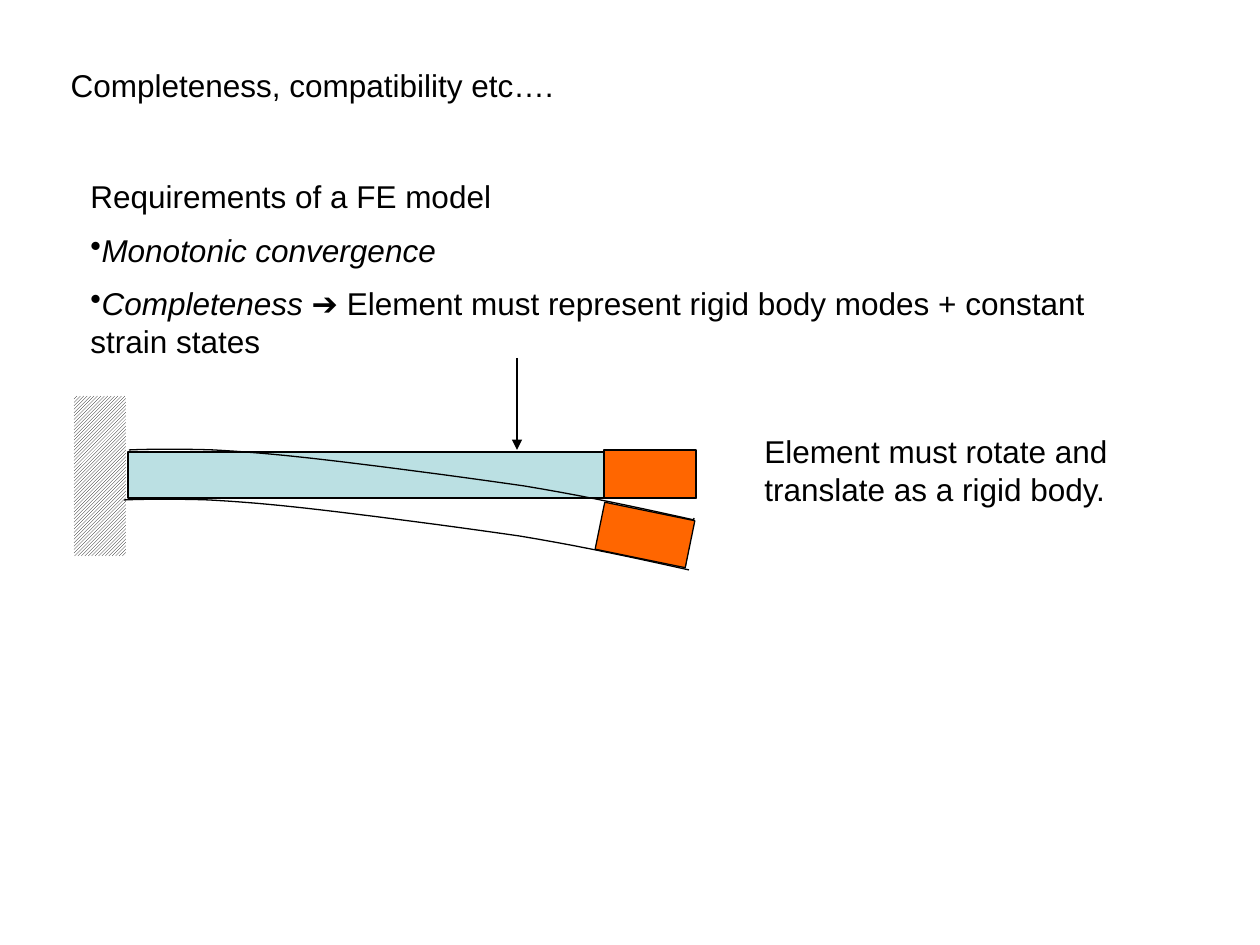
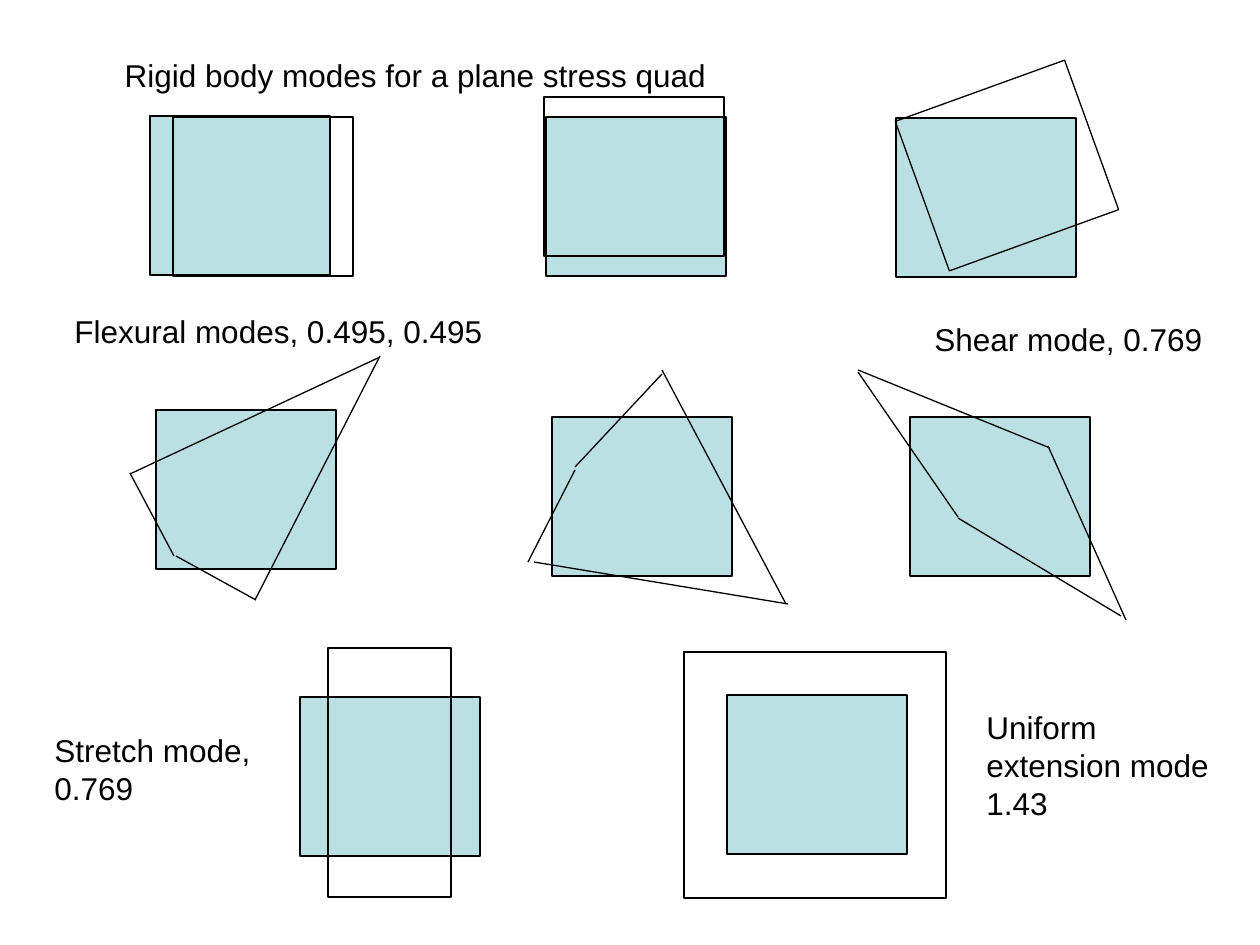
from dataclasses import dataclass

from lxml.etree import SubElement
from pptx import Presentation
from pptx.dml.color import RGBColor
from pptx.enum.dml import MSO_PATTERN
from pptx.enum.shapes import MSO_CONNECTOR, MSO_SHAPE
from pptx.enum.text import MSO_ANCHOR, MSO_AUTO_SIZE, PP_ALIGN
from pptx.oxml.ns import qn
from pptx.slide import Slide
from pptx.util import Emu, Pt

EMU_PER_PX = 914400 / 126
COLORS = {"ink": "000000", "paper": "FFFFFF", "element": "BBE0E3", "tip": "FF6600"}
FONT = "Arial"
TEXT_SIZE = Pt(18)
LINE_WIDTH = Pt(0.75)
QUAD_SIZE = (180, 159)
TITLE_ONLY = 5

Point = tuple[float, float]


@dataclass(frozen=True)
class Box:
    left: int
    top: int
    width: int
    height: int
    fill: str | None = None
    rotation: float = 0


@dataclass(frozen=True)
class Edge:
    start: Point
    end: Point


@dataclass(frozen=True)
class Mode:
    corner: tuple[int, int]
    deformed: tuple[Box | Edge, ...]


@dataclass(frozen=True)
class Label:
    text: str
    box: Box


RIGID_AND_STRAIN_MODES = (
    Mode((150, 116), (Box(173, 117, *QUAD_SIZE),)),
    Mode((896, 118), (Box(917, 86, *QUAD_SIZE, rotation=340.1),)),
    Mode((546, 117), (Box(544, 97, *QUAD_SIZE),)),
    Mode((156, 410), (
        Edge((130, 474), (378, 358)),
        Edge((380, 356), (255, 600)),
        Edge((130, 473), (174, 556)),
        Edge((176, 556), (256, 600)),
    )),
    Mode((552, 417), (
        Edge((662, 374), (575, 467)),
        Edge((575, 470), (528, 562)),
        Edge((534, 562), (788, 604)),
        Edge((786, 604), (662, 370)),
    )),
    Mode((910, 417), (
        Edge((858, 372), (958, 517)),
        Edge((858, 370), (1050, 448)),
        Edge((958, 518), (1121, 616)),
        Edge((1048, 446), (1126, 620)),
    )),
    Mode((300, 697), (Box(328, 648, 123, 249),)),
    Mode((727, 695), (Box(684, 652, 262, 246),)),
)

MODE_LABELS = (
    Label("Flexural modes, 0.495, 0.495", Box(62, 306, 633, 47)),
    Label("Shear mode, 0.769", Box(922, 314, 314, 47)),
    Label("Stretch mode, 0.769", Box(42, 725, 238, 81)),
    Label("Uniform extension mode 1.43", Box(974, 702, 248, 113)),
)

DEFLECTED_EDGE = (
    (129, 450), (155, 449), (181, 449), (214, 450), (247, 452),
    (275, 454), (326, 460), (378, 466), (462, 477), (524, 486),
    (585, 496), (640, 508), (694, 520),
)


def px(length: float) -> Emu:
    return Emu(round(length * EMU_PER_PX))


def color(name: str) -> RGBColor:
    return RGBColor.from_string(COLORS[name])


def place(shape, box: Box) -> None:
    shape.left, shape.top = px(box.left), px(box.top)
    shape.width, shape.height = px(box.width), px(box.height)


def style_text(frame) -> None:
    frame.word_wrap = True
    frame.auto_size = MSO_AUTO_SIZE.NONE
    frame.vertical_anchor = MSO_ANCHOR.TOP
    for paragraph in frame.paragraphs:
        paragraph.alignment = PP_ALIGN.LEFT
        for run in paragraph.runs:
            run.font.name = FONT
            run.font.size = TEXT_SIZE
            run.font.color.rgb = color("ink")


def add_titled_slide(prs, title: Label) -> Slide:
    slide = prs.slides.add_slide(prs.slide_layouts[TITLE_ONLY])
    heading = slide.shapes.title
    place(heading, title.box)
    heading.text_frame.text = title.text
    style_text(heading.text_frame)
    return slide


def add_label(slide: Slide, label: Label) -> None:
    caption = slide.shapes.add_textbox(0, 0, 0, 0)
    place(caption, label.box)
    caption.text_frame.text = label.text
    style_text(caption.text_frame)


def outline(shape) -> None:
    shape.line.color.rgb = color("ink")
    shape.line.width = LINE_WIDTH


def add_box(slide: Slide, box: Box):
    rectangle = slide.shapes.add_shape(MSO_SHAPE.RECTANGLE, 0, 0, 0, 0)
    place(rectangle, box)
    rectangle.rotation = box.rotation
    rectangle.shadow.inherit = False
    if box.fill:
        rectangle.fill.solid()
        rectangle.fill.fore_color.rgb = color(box.fill)
    else:
        rectangle.fill.background()
    outline(rectangle)
    return rectangle


def add_edge(slide: Slide, edge: Edge, arrow: bool = False) -> None:
    ends = [px(value) for value in (*edge.start, *edge.end)]
    connector = slide.shapes.add_connector(MSO_CONNECTOR.STRAIGHT, *ends)
    outline(connector)
    properties = connector._element.spPr
    if arrow:
        SubElement(properties.find(qn("a:ln")), qn("a:tailEnd"), type="triangle")
    SubElement(properties, qn("a:effectLst"))


def bezier(knots: tuple[Point, ...], steps: int = 10) -> list[Point]:
    points = [knots[0]]
    for first in range(0, len(knots) - 1, 3):
        controls = knots[first:first + 4]
        for step in range(1, steps + 1):
            t = step / steps
            weights = ((1 - t) ** 3, 3 * t * (1 - t) ** 2, 3 * t * t * (1 - t), t ** 3)
            points.append(tuple(
                sum(w * control[axis] for w, control in zip(weights, controls))
                for axis in (0, 1)
            ))
    return points


def add_deflected_edge(slide: Slide, dx: int, dy: int) -> None:
    start, *rest = [(px(x + dx), px(y + dy)) for x, y in bezier(DEFLECTED_EDGE)]
    builder = slide.shapes.build_freeform(*start)
    builder.add_line_segments(rest, close=False)
    curve = builder.convert_to_shape()
    curve.shadow.inherit = False
    curve.fill.background()
    outline(curve)


def add_wall(slide: Slide, box: Box) -> None:
    wall = add_box(slide, box)
    wall.fill.patterned()
    wall.fill.pattern = MSO_PATTERN.DARK_UPWARD_DIAGONAL
    wall.fill.fore_color.rgb = color("ink")
    wall.fill.back_color.rgb = color("paper")
    wall.line.fill.background()


def add_requirements(slide: Slide, box: Box) -> None:
    requirements = slide.shapes.add_textbox(0, 0, 0, 0)
    place(requirements, box)
    frame = requirements.text_frame
    frame.text = "Requirements of a FE model"
    for term, meaning in (
        ("Monotonic convergence", ""),
        ("Completeness ➔ ", "Element must represent rigid body modes + constant strain states"),
    ):
        paragraph = frame.add_paragraph()
        paragraph.text = term
        paragraph.runs[0].font.italic = True
        if meaning:
            paragraph.add_run().text = meaning
        paragraph.space_before = TEXT_SIZE // 2
        SubElement(paragraph._p.get_or_add_pPr(), qn("a:buChar"), char="•")
    style_text(frame)


def build_completeness(prs) -> None:
    slide = add_titled_slide(
        prs, Label("Completeness, compatibility etc….", Box(58, 60, 1024, 47)))
    add_requirements(slide, Box(78, 171, 1101, 147))
    add_box(slide, Box(128, 452, 568, 46, "element"))
    add_wall(slide, Box(74, 396, 52, 160))
    add_edge(slide, Edge((517, 358), (517, 450)), arrow=True)
    add_deflected_edge(slide, 0, 0)
    add_deflected_edge(slide, -5, 50)
    add_edge(slide, Edge((685, 568), (694, 518)))
    add_box(slide, Box(604, 450, 92, 48, "tip"))
    add_box(slide, Box(599, 511, 92, 48, "tip", 11.6))
    add_label(slide, Label("Element must rotate and translate as a rigid body.",
                           Box(752, 426, 460, 81)))


def build_modes(prs) -> None:
    slide = add_titled_slide(
        prs, Label("Rigid body modes for a plane stress quad", Box(112, 50, 640, 47)))
    for mode in RIGID_AND_STRAIN_MODES:
        add_box(slide, Box(*mode.corner, *QUAD_SIZE, "element"))
        for part in mode.deformed:
            if isinstance(part, Box):
                add_box(slide, part)
            else:
                add_edge(slide, part)
    for label in MODE_LABELS:
        add_label(slide, label)


def main() -> None:
    prs = Presentation()
    prs.slide_width, prs.slide_height = px(1260), px(945)
    build_completeness(prs)
    build_modes(prs)
    prs.save("out.pptx")


if __name__ == "__main__":
    main()
